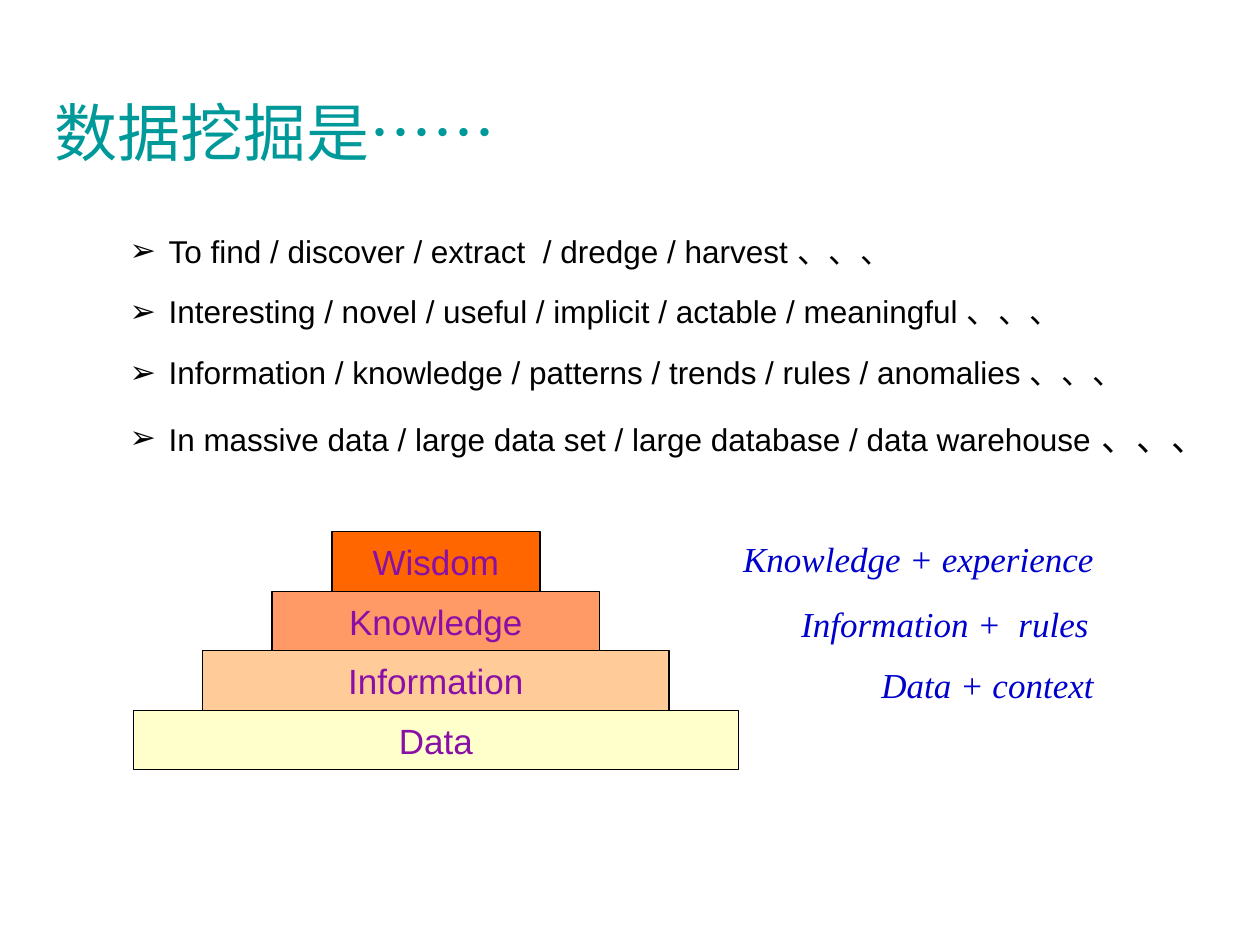
import pptx
import pptx.dml.color
import pptx.enum.shapes
import pptx.enum.text
import pptx.oxml
import pptx.oxml.ns
import pptx.util
from pptx.util import Inches

ALIGN = pptx.enum.text.PP_ALIGN
ANCHOR = pptx.enum.text.MSO_ANCHOR
AUTO_SIZE = pptx.enum.text.MSO_AUTO_SIZE


def color(hex_string):
    return pptx.dml.color.RGBColor.from_string(hex_string)


class SlideBuilder:
    """Holds the style and the slide being filled."""

    sans, serif = "Arial", "Times New Roman"
    black, teal, purple, blue = "000000", "009999", "8A0FA7", "0000CC"

    def __init__(self, slide):
        self.slide = slide

    def format_font(self, paragraph, size, hex_string, name=sans, italic=None):
        font = paragraph.font
        font.name, font.size, font.italic = name, pptx.util.Pt(size), italic
        font.color.rgb = color(hex_string)

    def title(self, text, left, top, width, height):
        shape = self.slide.shapes.title
        shape.left, shape.top = Inches(left), Inches(top)
        shape.width, shape.height = Inches(width), Inches(height)
        frame = shape.text_frame
        frame.text = text
        frame.auto_size = AUTO_SIZE.NONE
        frame.vertical_anchor = ANCHOR.MIDDLE
        paragraph = frame.paragraphs[0]
        paragraph.alignment = ALIGN.LEFT
        self.format_font(paragraph, 36, self.teal)

    def text_box(self, left, top, width, height, wrap):
        shape = self.slide.shapes.add_textbox(
            Inches(left), Inches(top), Inches(width), Inches(height))
        shape.text_frame.word_wrap = wrap
        return shape.text_frame

    def bullet(self, paragraph):
        properties = paragraph._p.get_or_add_pPr()
        properties.set("marL", str(Inches(0.81)))
        properties.set("indent", str(Inches(-0.31)))
        namespace = pptx.oxml.ns.nsdecls("a")
        for xml in (
            f'<a:buClr {namespace}><a:srgbClr val="{self.black}"/></a:buClr>',
            f'<a:buFont {namespace} typeface="{self.sans}"/>',
            f'<a:buChar {namespace} char="➢"/>',
        ):
            properties.append(pptx.oxml.parse_xml(xml))

    def bullet_list(self, items, left, top, width, height):
        """Each item is text, a tail, the tail's size and the space before."""
        frame = self.text_box(left, top, width, height, wrap=True)
        for index, (text, tail, tail_size, space) in enumerate(items):
            paragraph = frame.add_paragraph() if index else frame.paragraphs[0]
            paragraph.level = 1
            paragraph.line_spacing = 1.4
            paragraph.space_before = pptx.util.Pt(space)
            self.bullet(paragraph)
            self.format_font(paragraph, 18, self.black)
            paragraph.add_run().text = text
            run = paragraph.add_run()
            run.text = tail
            run.font.size = pptx.util.Pt(tail_size)

    def bar(self, text, fill, left, top, width, height):
        shape = self.slide.shapes.add_shape(
            pptx.enum.shapes.MSO_SHAPE.RECTANGLE,
            Inches(left), Inches(top), Inches(width), Inches(height))
        shape.shadow.inherit = False
        shape.fill.solid()
        shape.fill.fore_color.rgb = color(fill)
        shape.line.color.rgb = color(self.black)
        shape.line.width = pptx.util.Pt(0.75)
        frame = shape.text_frame
        frame.text = text
        frame.word_wrap = False
        frame.vertical_anchor = ANCHOR.MIDDLE
        paragraph = frame.paragraphs[0]
        paragraph.alignment = ALIGN.CENTER
        self.format_font(paragraph, 20, self.purple)

    def note(self, text, right, top, width):
        frame = self.text_box(right - width, top, width, 0.44, wrap=False)
        frame.text = text
        frame.auto_size = AUTO_SIZE.SHAPE_TO_FIT_TEXT
        paragraph = frame.paragraphs[0]
        paragraph.alignment = ALIGN.RIGHT
        self.format_font(paragraph, 20, self.blue, self.serif, italic=True)


def main():
    presentation = pptx.Presentation()
    presentation.slide_width = Inches(10)
    presentation.slide_height = Inches(7.5)
    title_only = presentation.slide_layouts[5]
    builder = SlideBuilder(presentation.slides.add_slide(title_only))

    # Title
    builder.title("数据挖掘是……", 0.33, 0.58, 6.57, 0.92)

    # What data mining is
    tail = " 、、、"
    builder.bullet_list([
        ("To find / discover / extract  / dredge / harvest", tail, 18, 4.5),
        ("Interesting / novel / useful / implicit / actable / meaningful",
         tail, 18, 4.5),
        ("Information / knowledge / patterns / trends / rules / anomalies",
         tail, 18, 4.5),
        ("In massive data / large data set / large database / data warehouse",
         tail, 20, 5),
    ], 0.43, 1.67, 9.37, 2.08)

    # Pyramid, from the top down, centred on one axis
    levels = [
        ("Wisdom", "FF6600", 1.65),
        ("Knowledge", "FF9966", 2.6),
        ("Information", "FFCC99", 3.7),
        ("Data", "FFFFCC", 4.8),
    ]
    center, pyramid_top, pyramid_height = 3.46, 4.22, 1.89
    step = pyramid_height / len(levels)
    for index, (text, fill, width) in enumerate(levels):
        builder.bar(text, fill, center - width / 2,
                    pyramid_top + index * step, width, step)

    # How each level arises from the one below
    for text, right, top, width in [
        ("Knowledge + experience", 8.78, 4.22, 3.05),
        ("Information +  rules", 8.74, 4.73, 2.55),
        ("Data + context", 8.78, 5.22, 1.95),
    ]:
        builder.note(text, right, top, width)

    presentation.save("out.pptx")


if __name__ == "__main__":
    main()
